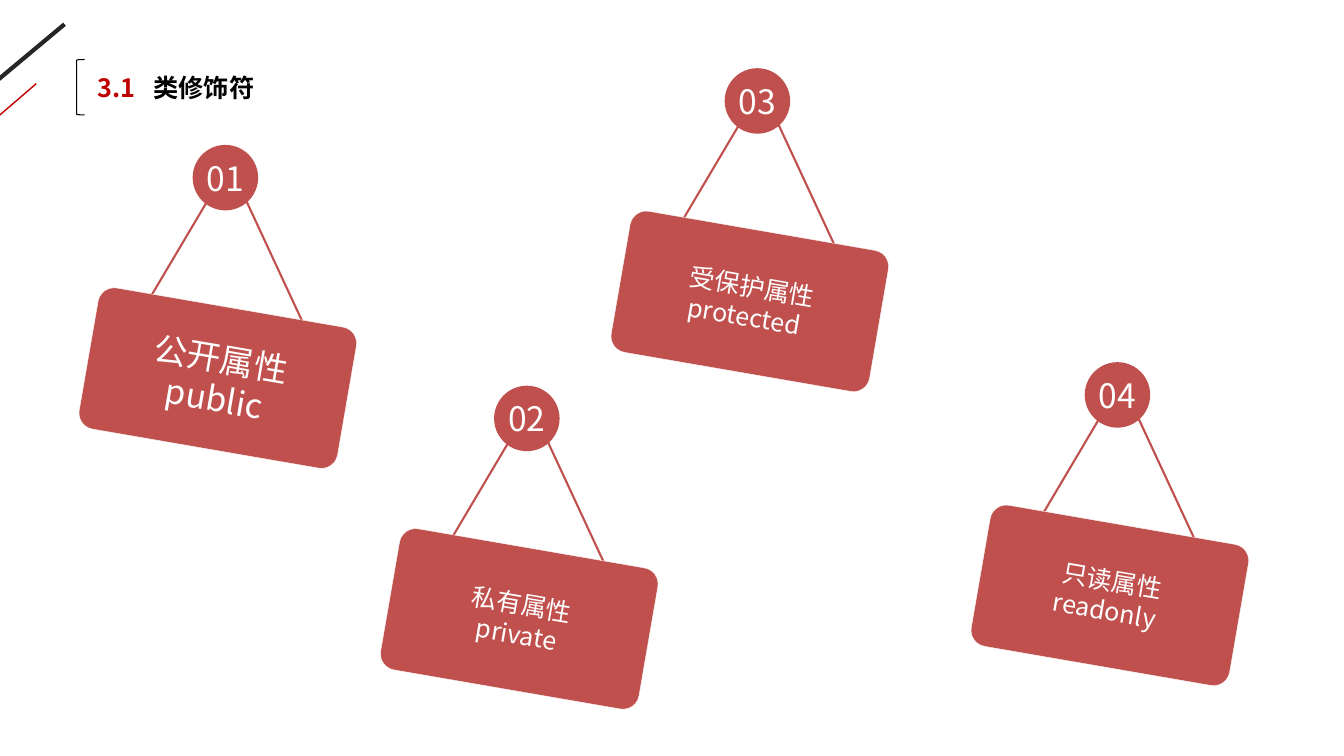
from dataclasses import dataclass

from lxml.etree import SubElement
from pptx import Presentation
from pptx.dml.color import RGBColor
from pptx.enum.shapes import MSO_CONNECTOR, MSO_SHAPE
from pptx.enum.text import MSO_ANCHOR, MSO_AUTO_SIZE, PP_ALIGN
from pptx.oxml.ns import qn
from pptx.util import Pt


@dataclass(frozen=True)
class Theme:
    """Colours, font and type sizes of the slide."""

    sign: RGBColor = RGBColor(0xC0, 0x50, 0x4D)
    accent: RGBColor = RGBColor(0xC0, 0x00, 0x00)
    dark: RGBColor = RGBColor(0x26, 0x26, 0x26)
    black: RGBColor = RGBColor(0, 0, 0)
    white: RGBColor = RGBColor(0xFF, 0xFF, 0xFF)
    font: str = "Noto Sans CJK SC"
    body: int = 18
    large: int = 24


def write_span(para, text, *, font, size, color, bold=False):
    """Add a formatted run of text to a paragraph."""
    span = para.add_run()
    span.text = text
    span.font.name = font
    span.font.size = Pt(size)
    span.font.bold = bold
    span.font.color.rgb = color
    east_asian = SubElement(span.font._element, qn("a:ea"))
    east_asian.set("typeface", font)


class SignPage:
    """Draw the elements of one slide in a shared style."""

    def __init__(self, page, theme):
        """Keep the current slide and its theme."""
        self.page = page
        self.theme = theme

    def stroke(self, start, end, color, width):
        """Draw a straight line."""
        line = self.page.shapes.add_connector(
            MSO_CONNECTOR.STRAIGHT, *map(Pt, start + end))
        line.line.color.rgb = color
        line.line.width = Pt(width)
        SubElement(line._element.spPr, qn("a:effectLst"))

    def heading(self, number, title):
        """Write the section number and title beside a bracket."""
        theme = self.theme
        box = self.page.shapes.add_textbox(Pt(62.6), Pt(48.2), Pt(136), Pt(28.8))
        box.text_frame.word_wrap = True
        box.text_frame.auto_size = MSO_AUTO_SIZE.NONE
        para = box.text_frame.paragraphs[0]
        stops = SubElement(para._p.get_or_add_pPr(), qn("a:tabLst"))
        SubElement(stops, qn("a:tab"), pos=str(Pt(40)), algn="l")
        style = dict(font=theme.font, size=theme.body, bold=True)
        write_span(para, f"{number}\t", color=theme.accent, **style)
        write_span(para, title, color=theme.black, **style)
        self.shape(MSO_SHAPE.LEFT_BRACKET, 54.7, 42.5, 5.8, 39.6,
                   line=theme.black, width=0.75)

    def shape(self, kind, left, top, width_points, height, *,
              fill=None, line=None, width=0.25):
        """Draw a preset shape with optional fill and outline."""
        shape = self.page.shapes.add_shape(
            kind, Pt(left), Pt(top), Pt(width_points), Pt(height))
        self.finish(shape, fill, line, width)
        return shape

    def finish(self, shape, fill, line, width):
        """Set the fill, outline and shadow of a shape."""
        shape.shadow.inherit = False
        if fill is None:
            shape.fill.background()
        else:
            shape.fill.solid()
            shape.fill.fore_color.rgb = fill
        if line is None:
            shape.line.fill.background()
        else:
            shape.line.color.rgb = line
            shape.line.width = Pt(width)

    def label(self, shape, lines, size):
        """Centre lines of white text in a shape."""
        frame = shape.text_frame
        frame.word_wrap = True
        frame.vertical_anchor = MSO_ANCHOR.MIDDLE
        frame.margin_left = frame.margin_right = 0
        frame.margin_top = frame.margin_bottom = 0
        for index, text in enumerate(lines):
            para = frame.add_paragraph() if index else frame.paragraphs[0]
            para.alignment = PP_ALIGN.CENTER
            write_span(para, text, font=self.theme.font, size=size,
                       color=self.theme.white)

    def string(self, points):
        """Draw the open string that holds a board."""
        start, *others = [(Pt(x), Pt(y)) for x, y in points]
        builder = self.page.shapes.build_freeform(*start, scale=1.0)
        builder.add_line_segments(others, close=False)
        self.finish(builder.convert_to_shape(), None, self.theme.sign, 1.5)

    def sign(self, number, lines, left, top, size):
        """Hang a tilted board from a numbered disc."""
        theme = self.theme
        knots = [(44, -4.3), (96.5, -92.9), (107.3, -89.8), (163.2, 30.5)]
        self.string([(left + x, top + y) for x, y in knots])
        board = self.shape(MSO_SHAPE.ROUNDED_RECTANGLE, left, top, 187.2, 102.2,
                           fill=theme.sign, line=theme.white)
        board.adjustments[0] = 0.113
        board.rotation = 9.8
        self.label(board, lines, size)
        disc = self.shape(MSO_SHAPE.OVAL, left + 75.6, top - 115.5, 46.8, 46.8,
                          fill=theme.sign)
        self.label(disc, [number], theme.large)


def main():
    """Build and save the slide."""
    deck = Presentation()
    deck.slide_width, deck.slide_height = Pt(960), Pt(540)
    theme = Theme()
    page = SignPage(deck.slides.add_slide(deck.slide_layouts[6]), theme)
    page.stroke((46.1, 17.3), (-15.1, 68.4), theme.dark, 3)
    page.stroke((25.9, 59.8), (-4.3, 85.7), theme.accent, 1)
    page.heading("3.1", "类修饰符")
    signs = [
        ("02", ["私有属性", "private"], 277.3, 391, theme.body),
        ("03", ["受保护属性", "protected "], 442, 164.2, theme.body),
        ("01", ["公开属性", "public"], 62, 219, theme.large),
        ("04", ["只读属性", "readonly "], 699.2, 374.2, theme.body),
    ]
    for sign in signs:
        page.sign(*sign)
    deck.save("out.pptx")


if __name__ == "__main__":
    main()
